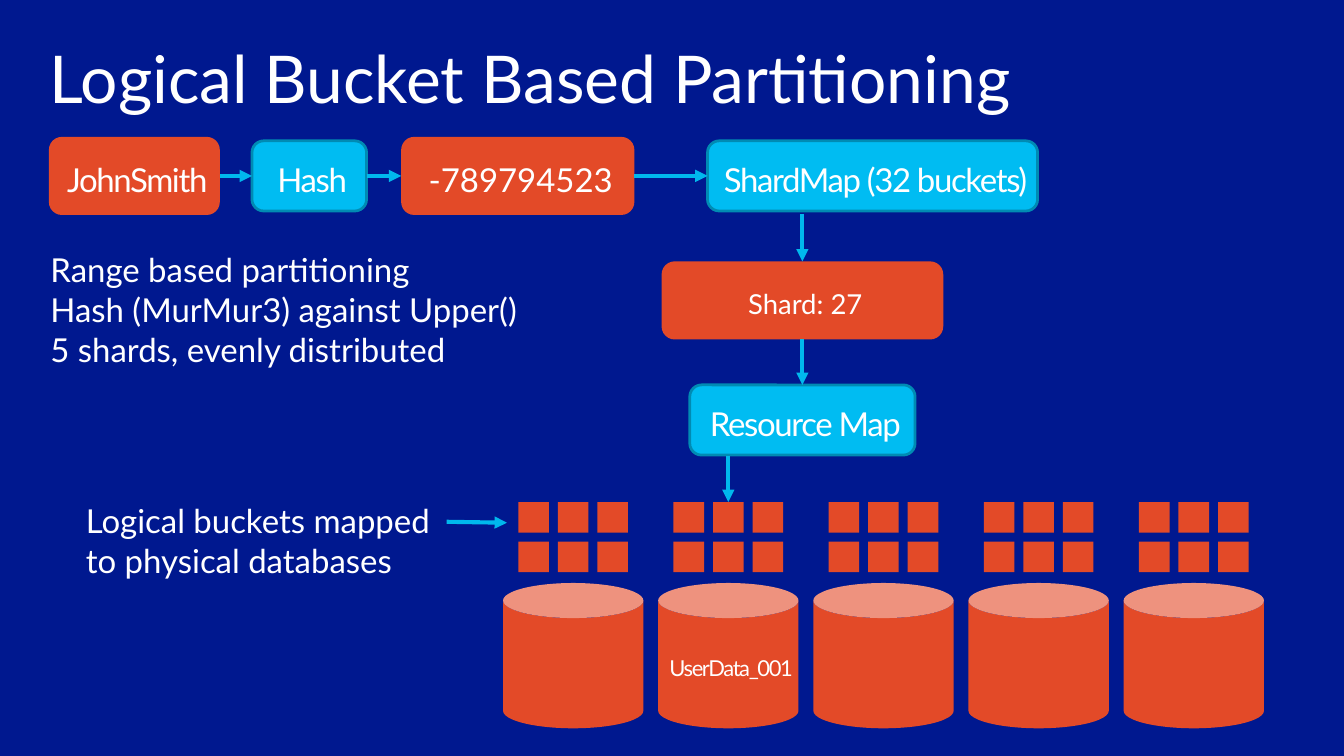
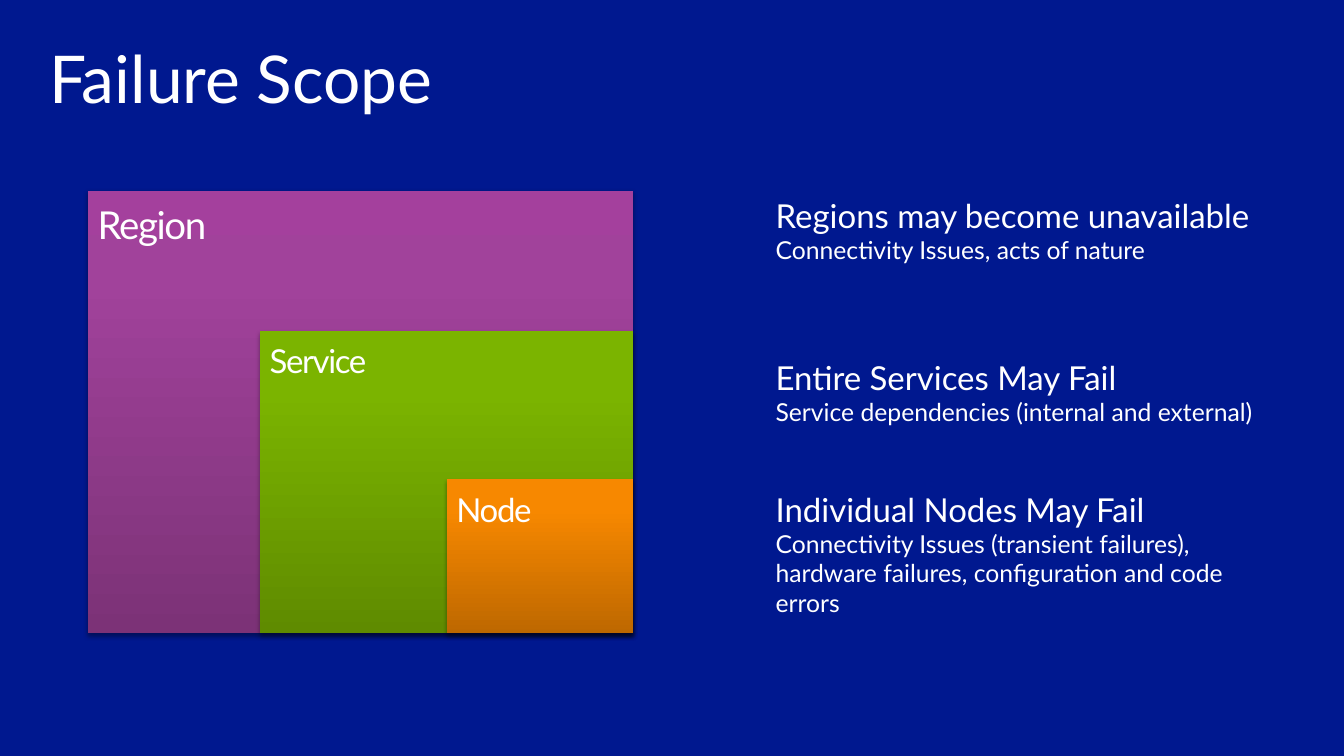
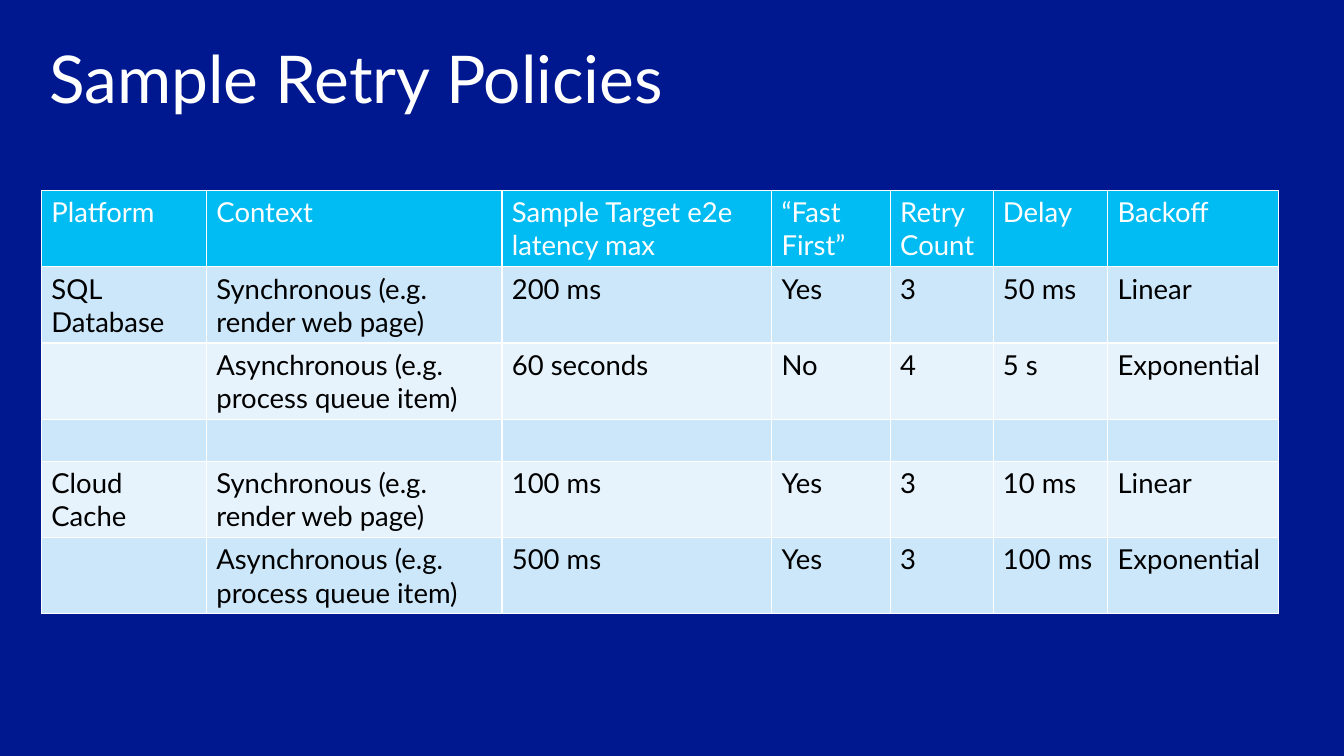
from itertools import product

from lxml.etree import SubElement
from pptx import Presentation
from pptx.dml.color import RGBColor
from pptx.enum.shapes import MSO_CONNECTOR as CONN, MSO_SHAPE as SHAPE
from pptx.enum.text import MSO_ANCHOR as ANCHOR, MSO_AUTO_SIZE as AUTO, PP_ALIGN as ALIGN
from pptx.oxml.ns import qn
from pptx.util import Inches, Pt

# Shared look
SLIDE_W, SLIDE_H = 13.6, 7.65
THEME = {
    "font": "Lato",
    "colors": {
        "back": "00188F", "text": "FFFFFF", "ink": "000000", "orange": "E34A28",
        "cyan": "00BCF2", "cyan_edge": "008BB3", "arrow": "00B8ED",
        "band_dark": "CCE7FA", "band_light": "E7F3FC",
    },
    "sizes": {"title": 48, "large": 28, "body": 24, "cell": 20, "detail": 18, "small": 16},
}
TITLE_BOX = (0.3, 0.33, 13, 1)
TITLE_INSETS = (0.2, 0.05, 0.2, 0.05)
TEXT_INSETS = (0.1, 0.05, 0.1, 0.05)
SHAPE_INSETS = (0.1, 0.1, 0.04, 0.04)
TIGHT = -1  # letter spacing in points
TOP, LEFT, BOTTOM, RIGHT = range(4)  # connection sites of a rectangle

# Slide 1 content
PARTITION_NOTES = ["Range based partitioning", "Hash (MurMur3) against Upper()",
                   "5 shards, evenly distributed"]
BUCKET_NOTES = ["Logical buckets mapped", "to physical databases"]
ROW_Y, CHAIN_X = 1.78, 8.12
VALUE = {"h": 0.79, "fill": "orange", "edge": None}
STEP = {"h": 0.71, "fill": "cyan", "edge": "cyan_edge"}
FLOW = {  # name: (text, kind, centre x, centre y, width, size, letter spacing)
    "user": ("JohnSmith", VALUE, 1.36, ROW_Y, 1.73, "body", TIGHT),
    "hash": ("Hash", STEP, 3.13, ROW_Y, 1.16, "body", TIGHT),
    "number": ("-789794523", VALUE, 5.24, ROW_Y, 2.36, "body", 0),
    "shard_map": ("ShardMap (32 buckets)", STEP, 8.83, ROW_Y, 3.34, "body", TIGHT),
    "shard": ("Shard: 27", VALUE, CHAIN_X, 3.04, 2.85, "cell", 0),
    "resources": ("Resource Map", STEP, CHAIN_X, 4.25, 2.28, "body", TIGHT),
}
JOINS = [("user", RIGHT, "hash", LEFT), ("hash", RIGHT, "number", LEFT),
         ("number", RIGHT, "shard_map", LEFT), ("shard", BOTTOM, "resources", TOP)]
DATABASES = ["", "UserData_001", "", "", ""]
DB_X, DB_Y, DB_W, DB_H, DB_PITCH = 5.09, 5.9, 1.42, 1.47, 1.57
BUCKET_COLS, BUCKET_ROWS, BUCKET, BUCKET_PITCH, BUCKET_Y = 3, 2, 0.31, 0.4, 5.08

# Slide 2 content
SCOPE_RIGHT = SCOPE_BOTTOM = 6.41
SCOPES = [  # name, size, left, top, gradient from bottom to top, note top, heading, detail
    ("Region", "large", 0.89, 1.93, ("7C3277", "A1429B", "A4409D"), 1.93,
     "Regions may become unavailable", "Connectivity Issues, acts of nature"),
    ("Service", "body", 2.63, 3.35, ("5F8B00", "7BB400", "7CB500"), 3.57,
     "Entire Services May Fail", "Service dependencies (internal and external)"),
    ("Node", "body", 4.52, 4.85, ("BE6800", "F78800", "F88800"), 4.9,
     "Individual Nodes May Fail",
     "Connectivity Issues (transient failures), hardware failures, "
     "configuration and code errors"),
]
GRADIENT_STOPS = (0, 80, 100)

# Slide 3 content
SYNC = "Synchronous (e.g. render web page)"
ASYNC = "Asynchronous (e.g. process queue item)"
POLICIES = [
    ("Platform", "Context", "Sample Target e2e latency max", "“Fast First”",
     "Retry Count", "Delay", "Backoff"),
    ("SQL Database", SYNC, "200 ms", "Yes", "3", "50 ms", "Linear"),
    ("", ASYNC, "60 seconds", "No", "4", "5 s", "Exponential"),
    ("",) * 7,
    ("Cloud Cache", SYNC, "100 ms", "Yes", "3", "10 ms", "Linear"),
    ("", ASYNC, "500 ms", "Yes", "3", "100 ms", "Exponential"),
]
COL_WIDTHS = [1.67, 2.99, 2.73, 1.2, 1.04, 1.16, 1.73]
ROW_TALL, ROW_SHORT = 0.77, 0.43


def color(name):
    return RGBColor.from_string(THEME["colors"][name])


def inches(*values):
    return [Inches(v) for v in values]


def write(tf, lines, ink="text", align=ALIGN.LEFT, spacing=0):
    """Fill a text frame with (text, size name) lines."""
    for i, (text, size) in enumerate(lines):
        p = tf.paragraphs[0] if i == 0 else tf.add_paragraph()
        p.alignment, p.space_before = align, Pt(0)
        r = p.add_run()
        r.text = text
        look = {"name": THEME["font"], "size": Pt(THEME["sizes"][size]), "bold": False}
        for key, value in look.items():
            setattr(r.font, key, value)
        r.font.color.rgb = color(ink)
        if spacing:
            r.font._element.set("spc", str(spacing * 100))


def set_frame(tf, insets, anchor=ANCHOR.TOP):
    look = dict(zip(("margin_left", "margin_top", "margin_right", "margin_bottom"),
                    inches(*insets)))
    look.update(word_wrap=True, auto_size=AUTO.NONE, vertical_anchor=anchor)
    for key, value in look.items():
        setattr(tf, key, value)


def place(sp, box):
    for key, value in zip(("left", "top", "width", "height"), inches(*box)):
        setattr(sp, key, value)


def add_slide(prs, title, layout=5):
    s = prs.slides.add_slide(prs.slide_layouts[layout])
    place(s.shapes.title, TITLE_BOX)
    set_frame(s.shapes.title.text_frame, TITLE_INSETS)
    write(s.shapes.title.text_frame, [(title, "title")])
    return s


def add_text(s, box, lines):
    tf = s.shapes.add_textbox(*inches(*box)).text_frame
    set_frame(tf, TEXT_INSETS)
    write(tf, lines)


def add_block(s, kind, box, fill=None, edge=None):
    sp = s.shapes.add_shape(kind, *inches(*box))
    sp.shadow.inherit = False
    if fill:
        sp.fill.solid()
        sp.fill.fore_color.rgb = color(fill)
    if edge:
        sp.line.color.rgb, sp.line.width = color(edge), Pt(2)
    else:
        sp.line.fill.background()
    return sp


def add_label(sp, text, size, spacing=TIGHT, align=ALIGN.CENTER, anchor=ANCHOR.MIDDLE):
    set_frame(sp.text_frame, SHAPE_INSETS, anchor)
    write(sp.text_frame, [(text, size)], align=align, spacing=spacing)


def add_arrow(s, start=(0, 0), end=(0, 0), begin_at=None, end_at=None):
    c = s.shapes.add_connector(CONN.STRAIGHT, *inches(*start, *end))
    if begin_at:
        c.begin_connect(*begin_at)
    if end_at:
        c.end_connect(*end_at)
    c.line.color.rgb, c.line.width = color("arrow"), Pt(3)
    SubElement(c.line._get_or_add_ln(), qn("a:tailEnd"), type="triangle")
    SubElement(c.element.spPr, qn("a:effectLst"))


def add_color(parent, rgb, **mods):
    clr = SubElement(parent, qn("a:srgbClr"), val=rgb)
    for name, value in mods.items():
        SubElement(clr, qn(f"a:{name}"), val=str(value))


def add_gradient(sp, colors):
    """Three-stop gradient that runs upwards, with a soft drop shadow."""
    sp.fill.gradient()
    grad = sp.element.spPr.find(qn("a:gradFill"))
    for child in list(grad):
        grad.remove(child)
    stops = SubElement(grad, qn("a:gsLst"))
    for pos, rgb in zip(GRADIENT_STOPS, colors):
        add_color(SubElement(stops, qn("a:gs"), pos=str(pos * 1000)), rgb)
    SubElement(grad, qn("a:lin"), ang=str(270 * 60000), scaled="0")
    effects = sp.element.spPr.find(qn("a:effectLst"))
    shadow = SubElement(effects, qn("a:outerShdw"), blurRad=str(Pt(3.1)), dist=str(Pt(1.8)),
                        dir=str(90 * 60000), rotWithShape="0")
    add_color(shadow, THEME["colors"]["ink"], alpha=35000)


def build_partitioning(prs):
    s = add_slide(prs, "Logical Bucket Based Partitioning", layout=1)

    # Notes
    body = s.placeholders[1]
    place(body, (0.41, 2.48, 5.43, 1.31))
    set_frame(body.text_frame, TEXT_INSETS)
    write(body.text_frame, [(line, "body") for line in PARTITION_NOTES])
    for p in body.text_frame.paragraphs:
        pPr = p._p.get_or_add_pPr()
        pPr.set("marL", "0")
        pPr.set("indent", "0")
        SubElement(pPr, qn("a:buNone"))
    add_text(s, (0.77, 5.02, 3.89, 0.91), [(line, "body") for line in BUCKET_NOTES])

    # Flow from user name to resource map
    nodes = {}
    for name, (text, kind, cx, cy, w, size, spacing) in FLOW.items():
        h = kind["h"]
        sp = add_block(s, SHAPE.ROUNDED_RECTANGLE, (cx - w / 2, cy - h / 2, w, h),
                       kind["fill"], kind["edge"])
        add_label(sp, text, size, spacing)
        nodes[name] = sp
    for source, out_site, target, in_site in JOINS:
        add_arrow(s, begin_at=(nodes[source], out_site), end_at=(nodes[target], in_site))
    add_arrow(s, (CHAIN_X, 2.17), end_at=(nodes["shard"], TOP))

    # Databases with their buckets
    margin = (DB_W - BUCKET - (BUCKET_COLS - 1) * BUCKET_PITCH) / 2
    for i, name in enumerate(DATABASES):
        x = DB_X + i * DB_PITCH
        can = add_block(s, SHAPE.CAN, (x, DB_Y, DB_W, DB_H), "orange")
        if name:
            add_label(can, name, "small")
            mid = x + DB_W / 2
            add_arrow(s, (mid, 4.61), (mid, BUCKET_Y))
        for row, col in product(range(BUCKET_ROWS), range(BUCKET_COLS)):
            add_block(s, SHAPE.RECTANGLE,
                      (x + margin + col * BUCKET_PITCH, BUCKET_Y + row * BUCKET_PITCH,
                       BUCKET, BUCKET), "orange")
    add_arrow(s, (4.52, 5.28), (5.13, 5.29))


def build_failure_scope(prs):
    s = add_slide(prs, "Failure Scope")
    for name, size, x, y, colors, note_y, heading, detail in SCOPES:
        sp = add_block(s, SHAPE.RECTANGLE, (x, y, SCOPE_RIGHT - x, SCOPE_BOTTOM - y))
        add_gradient(sp, colors)
        add_label(sp, name, size, align=ALIGN.LEFT, anchor=ANCHOR.TOP)
        add_text(s, (7.75, note_y, 5.12, 0.81), [(heading, "body"), (detail, "detail")])


def style_cell(cell, fill):
    cell.fill.solid()
    cell.fill.fore_color.rgb = color(fill)
    tcPr = cell._tc.get_or_add_tcPr()
    for i, side in enumerate(("lnL", "lnR", "lnT", "lnB")):
        ln = tcPr.makeelement(qn(f"a:{side}"), {"w": str(Pt(1))})
        add_color(SubElement(ln, qn("a:solidFill")), THEME["colors"]["text"])
        tcPr.insert(i, ln)


def build_retry_policies(prs):
    s = add_slide(prs, "Sample Retry Policies")
    heights = [ROW_TALL if any(row) else ROW_SHORT for row in POLICIES]
    table = s.shapes.add_table(len(POLICIES), len(COL_WIDTHS), *inches(
        0.42, 1.93, sum(COL_WIDTHS), sum(heights))).table
    for col, w in zip(table.columns, COL_WIDTHS):
        col.width = Inches(w)
    for i, (texts, h) in enumerate(zip(POLICIES, heights)):
        table.rows[i].height = Inches(h)
        fill = "cyan" if i == 0 else "band_dark" if i % 2 else "band_light"
        for j, text in enumerate(texts):
            cell = table.cell(i, j)
            style_cell(cell, fill)
            if text:
                write(cell.text_frame, [(text, "cell")], ink="ink" if i else "text")


def main():
    prs = Presentation()
    prs.slide_width, prs.slide_height = inches(SLIDE_W, SLIDE_H)
    back = prs.slide_master.background.fill
    back.solid()
    back.fore_color.rgb = color("back")
    for build in (build_partitioning, build_failure_scope, build_retry_policies):
        build(prs)
    prs.save("out.pptx")


if __name__ == "__main__":
    main()
